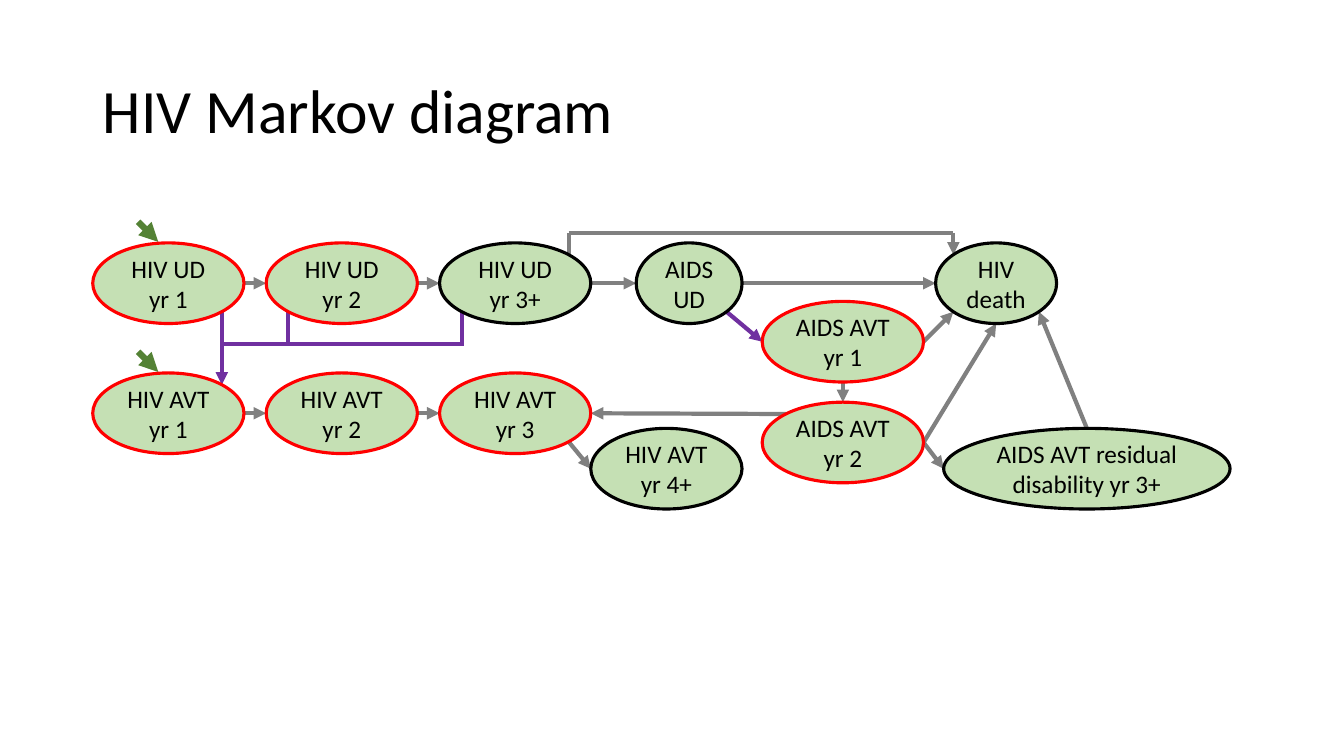
import math
from lxml import etree
from pptx import Presentation
from pptx.dml.color import RGBColor
from pptx.enum.shapes import MSO_CONNECTOR, MSO_SHAPE
from pptx.enum.text import MSO_ANCHOR, PP_ALIGN
from pptx.oxml.ns import qn
from pptx.util import Inches, Pt

STRAIGHT, ELLIPSE = MSO_CONNECTOR.STRAIGHT, MSO_SHAPE.OVAL
MIDDLE, CENTER, LEFT = MSO_ANCHOR.MIDDLE, PP_ALIGN.CENTER, PP_ALIGN.LEFT
COLORS = {"text": "000000", "fill": "C5E0B4", "yearly": "FF0000", "stable": "000000",
          "progress": "808080", "treat": "7030A0", "entry": "548235"}
FONT = "Calibri"
SLIDE_W, SLIDE_H = 13.33, 7.5
TITLE_BOX = (0.92, 0.4, 11.5, 1.45)
DIAGRAM_BOX = (0.92, 2.41, 11.28, 2.64)
COL, ROW, STATE_W, STATE_H = 1.72, 1.29, 1.5, 0.8

# Connection sites of an ellipse, counter-clockwise from the top
TOP, TOP_LEFT, LEFT_SIDE, LOW_LEFT, BOTTOM, LOW_RIGHT, RIGHT_SIDE, TOP_RIGHT = range(8)

# name: (text, left, top, width, outline), placed within the diagram box
STATES = {
    "ud1": ("HIV UD yr 1", 0, 0, STATE_W, "yearly"),
    "ud2": ("HIV UD yr 2", COL, 0, STATE_W, "yearly"),
    "ud3": ("HIV UD yr 3+", 2 * COL, 0, STATE_W, "stable"),
    "avt1": ("HIV AVT yr 1", 0, ROW, STATE_W, "yearly"),
    "avt2": ("HIV AVT yr 2", COL, ROW, STATE_W, "yearly"),
    "avt3": ("HIV AVT yr 3", 2 * COL, ROW, STATE_W, "yearly"),
    "avt4": ("HIV AVT yr 4+", 4.94, 1.84, STATE_W, "stable"),
    "aids": ("AIDS UD", 5.39, 0, 1.05, "stable"),
    "aids1": ("AIDS AVT yr 1", 6.64, 0.58, 1.6, "yearly"),
    "aids2": ("AIDS AVT yr 2", 6.64, 1.58, 1.6, "yearly"),
    "death": ("HIV death", 8.36, 0, 1.2, "stable"),
    "residual": ("AIDS AVT residual disability yr 3+", 8.44, 1.84, 2.84, "stable"),
}
TRANSITIONS = [
    ("ud1", RIGHT_SIDE, "ud2", LEFT_SIDE, "progress"),
    ("ud2", RIGHT_SIDE, "ud3", LEFT_SIDE, "progress"),
    ("ud3", RIGHT_SIDE, "aids", LEFT_SIDE, "progress"),
    ("aids", RIGHT_SIDE, "death", LEFT_SIDE, "progress"),
    ("avt1", RIGHT_SIDE, "avt2", LEFT_SIDE, "progress"),
    ("avt2", RIGHT_SIDE, "avt3", LEFT_SIDE, "progress"),
    ("avt3", LOW_RIGHT, "avt4", LEFT_SIDE, "progress"),
    ("aids1", RIGHT_SIDE, "death", LOW_LEFT, "progress"),
    ("aids1", BOTTOM, "aids2", TOP, "progress"),
    ("aids2", TOP_LEFT, "avt3", RIGHT_SIDE, "progress"),
    ("aids2", RIGHT_SIDE, "death", BOTTOM, "progress"),
    ("aids2", RIGHT_SIDE, "residual", LEFT_SIDE, "progress"),
    ("residual", TOP, "death", LOW_RIGHT, "progress"),
    ("ud1", LOW_RIGHT, "avt1", TOP_RIGHT, "treat"),
    ("aids", LOW_RIGHT, "aids1", LEFT_SIDE, "treat"),
]


def rgb(name):
    return RGBColor.from_string(COLORS[name])


def write(sp, text, size, align, spacing=1.0):
    tf = sp.text_frame
    tf.word_wrap = True
    tf.vertical_anchor = MIDDLE
    p = tf.paragraphs[0]
    p.alignment = align
    p.line_spacing = spacing
    r = p.add_run()
    r.text = text
    r.font.size = Pt(size)
    r.font.name = FONT
    r.font.color.rgb = rgb("text")


def add_state(s, text, left, top, width, outline):
    sp = s.shapes.add_shape(ELLIPSE, Inches(left), Inches(top), Inches(width), Inches(STATE_H))
    sp.shadow.inherit = False
    sp.fill.solid()
    sp.fill.fore_color.rgb = rgb("fill")
    sp.line.color.rgb = rgb(outline)
    sp.line.width = Pt(2.25)
    write(sp, text, 18, CENTER)
    return sp


def site(sp, index):
    """Return the point of an ellipse's connection site."""
    angle = math.radians(90 + 45 * index)
    return (round(sp.left + sp.width / 2 * (1 + math.cos(angle))),
            round(sp.top + sp.height / 2 * (1 - math.sin(angle))))


def add_line(s, start, end, color, width=3, arrow=True):
    line = s.shapes.add_connector(STRAIGHT, *start, *end)
    line.line.color.rgb = rgb(color)
    line.line.width = Pt(width)
    if arrow:
        etree.SubElement(line.line._get_or_add_ln(), qn("a:tailEnd"), type="triangle")
    etree.SubElement(line._element.spPr, qn("a:effectLst"))
    return line


def join(line, tag, sp, index):
    """Attach a line end to an ellipse, which has eight sites rather than four."""
    etree.SubElement(line._element.nvCxnSpPr.cNvCxnSpPr, qn(tag),
                     id=str(sp.shape_id), idx=str(index))


def add_transitions(s, states):
    lines = []
    for source, out, target, into, color in TRANSITIONS:
        a, b = states[source], states[target]
        line = add_line(s, site(a, out), site(b, into), color)
        join(line, "a:stCxn", a, out)
        join(line, "a:endCxn", b, into)
        lines.append(line)
    return lines


def add_death_bypass(s, states, y):
    start, end = site(states["ud3"], TOP_RIGHT), site(states["death"], TOP_LEFT)
    corners = [start, (start[0], y), (end[0], y), end]
    return [add_line(s, a, b, "progress", arrow=b == end)
            for a, b in zip(corners, corners[1:])]


def add_treatment_bus(s, states, y):
    drops = [site(states[name], LOW_LEFT) for name in ("ud2", "ud3")]
    lines = [add_line(s, drop, (drop[0], y), "treat", arrow=False) for drop in drops]
    trunk_x = site(states["ud1"], LOW_RIGHT)[0]
    return lines + [add_line(s, (drops[-1][0] + Pt(1.5), y), (trunk_x, y), "treat", arrow=False)]


def add_entry(s, state):
    start = state.left + Inches(0.45), state.top - Inches(0.21)
    end = state.left + Inches(0.65), state.top - Inches(0.01)
    return add_line(s, start, end, "entry", width=4.5)


def add_title(s, box):
    title = s.shapes.title
    title.left, title.top, title.width, title.height = map(Inches, box)
    write(title, "HIV Markov diagram", 44, LEFT, spacing=0.9)


def add_diagram(s, box):
    left, top = box[:2]
    states = {name: add_state(s, text, left + x, top + y, width, outline)
              for name, (text, x, y, width, outline) in STATES.items()}
    lines = add_transitions(s, states)
    lines += add_death_bypass(s, states, Inches(top - 0.1))
    lines += add_treatment_bus(s, states, Inches(top + 1))
    lines += [add_entry(s, states[name]) for name in ("ud1", "avt1")]
    for line in lines:  # lines lie behind the states
        states["ud1"]._element.addprevious(line._element)


def main():
    prs = Presentation()
    prs.slide_width, prs.slide_height = Inches(SLIDE_W), Inches(SLIDE_H)
    s = prs.slides.add_slide(prs.slide_layouts[5])
    add_title(s, TITLE_BOX)
    add_diagram(s, DIAGRAM_BOX)
    prs.save("out.pptx")


if __name__ == "__main__":
    main()
